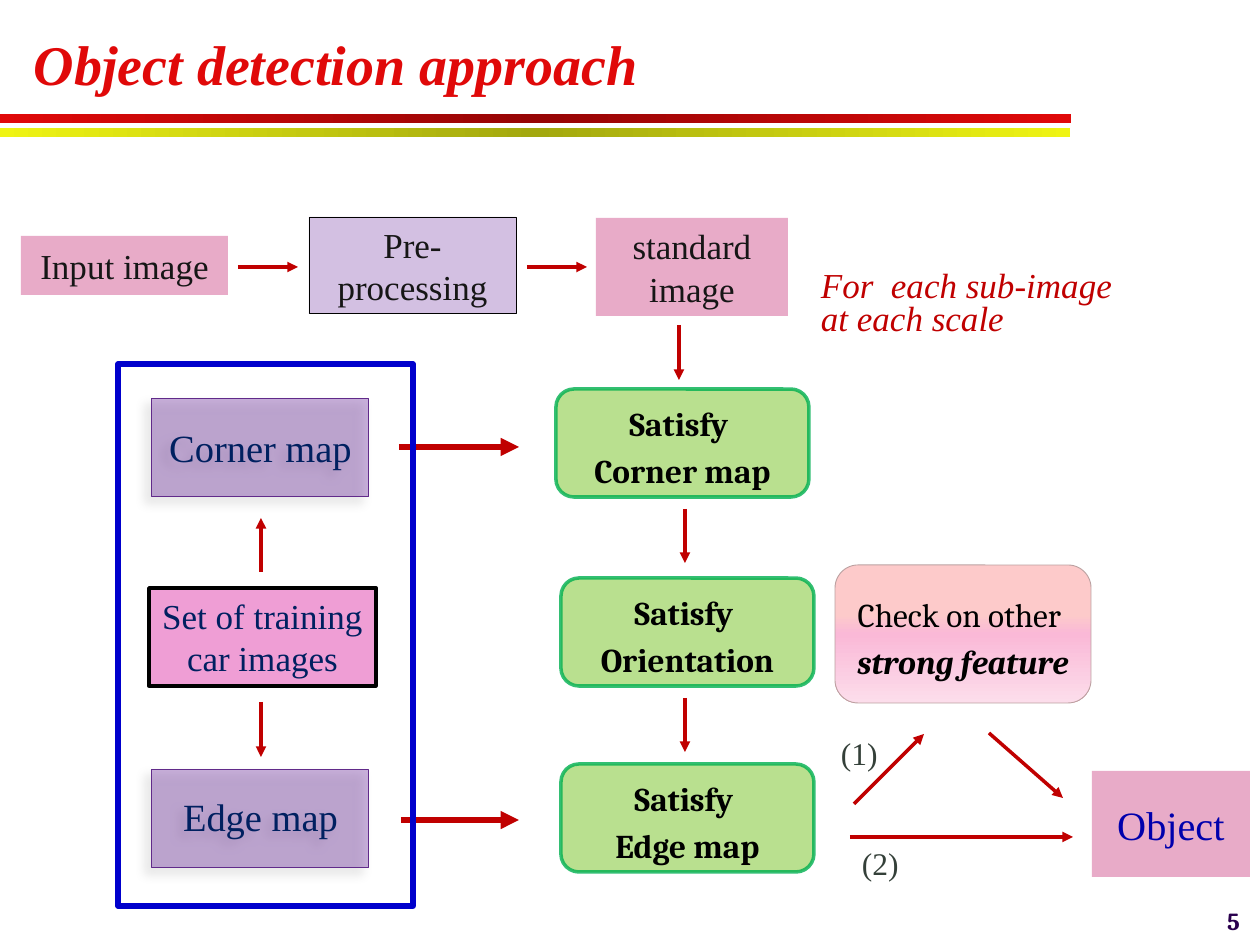
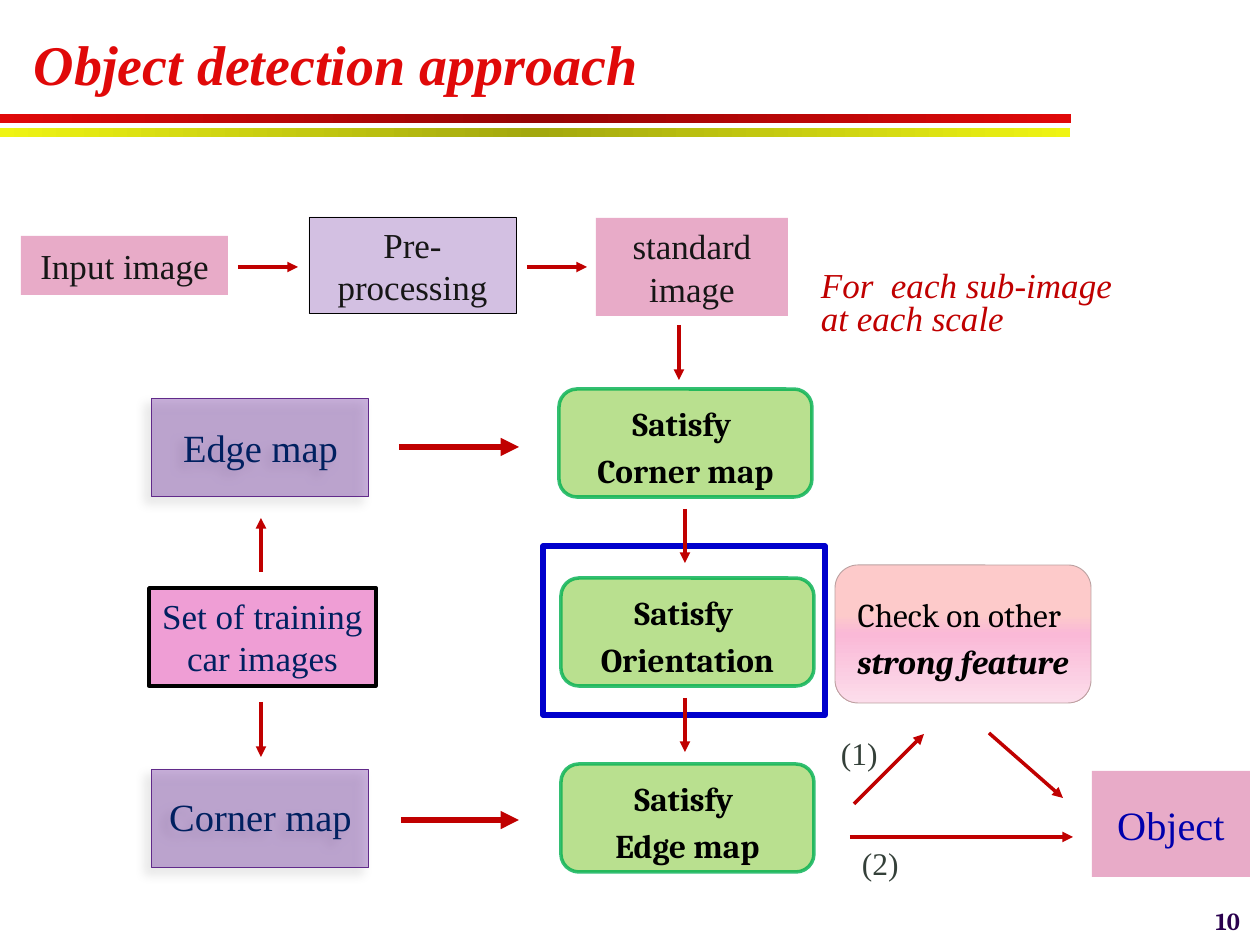
from lxml.etree import SubElement
from pptx import Presentation
from pptx.dml.color import RGBColor
from pptx.enum.shapes import MSO_CONNECTOR, MSO_SHAPE
from pptx.enum.text import MSO_ANCHOR, PP_ALIGN
from pptx.oxml.ns import qn
from pptx.util import Pt

PX = 914400 / 126
TIMES, CAMBRIA = "Times New Roman", "Cambria"
RED, NAVY, INK, BLACK = "C00000", "002060", "161616", "000000"
PINK = ("D35B95", 51)
LEAF = ("92D050", 64)
RECT, ROUND = MSO_SHAPE.RECTANGLE, MSO_SHAPE.ROUNDED_RECTANGLE
LEFT, MID, RIGHT = PP_ALIGN.LEFT, PP_ALIGN.CENTER, PP_ALIGN.RIGHT
hue = RGBColor.from_string


def write(shape, lines, size, ink, font=TIMES, align=MID, lead=None,
          anchor=MSO_ANCHOR.MIDDLE, pads=(13, 6, 13, 6)):
    """Each line is a text and its style letters: b for bold, i for italic."""
    frame = shape.text_frame
    frame.word_wrap = True
    frame.vertical_anchor = anchor
    (frame.margin_left, frame.margin_top,
     frame.margin_right, frame.margin_bottom) = [int(p * PX) for p in pads]
    for n, (text, style) in enumerate(lines):
        para = frame.add_paragraph() if n else frame.paragraphs[0]
        para.alignment = align
        if lead:
            para.line_spacing = Pt(lead)
        run = para.add_run()
        run.text = text
        run.font.name, run.font.size = font, Pt(size)
        run.font.bold, run.font.italic = "b" in style, "i" in style
        run.font.color.rgb = hue(ink)


def box(slide, kind, area, fill=None, edge=None):
    """Fill is (colour, alpha) or stops; edge is (colour, width, alpha)."""
    shape = slide.shapes.add_shape(kind, *[int(v * PX) for v in area])
    shape.shadow.inherit = False
    props = shape._element.spPr
    if fill is None:
        shape.fill.background()
    elif isinstance(fill, list):
        shape.fill.gradient()
        shape.fill.gradient_angle = 270 if kind == ROUND else 0
        stops = props.find(".//" + qn("a:gsLst"))
        for old in list(stops):
            stops.remove(old)
        for pos, tone, alpha in fill:
            stop = SubElement(stops, qn("a:gs"), pos=str(pos * 1000))
            tint = SubElement(stop, qn("a:srgbClr"), val=tone)
            SubElement(tint, qn("a:alpha"), val=str(alpha * 1000))
    else:
        shape.fill.solid()
        shape.fill.fore_color.rgb = hue(fill[0])
        tint = props.find(qn("a:solidFill"))[0]
        SubElement(tint, qn("a:alpha"), val=str(fill[1] * 1000))
    if edge is None:
        shape.line.fill.background()
    else:
        shape.line.color.rgb = hue(edge[0])
        shape.line.width = Pt(edge[1])
        tint = props.find(qn("a:ln")).find(".//" + qn("a:srgbClr"))
        SubElement(tint, qn("a:alpha"), val=str(edge[2] * 1000))
    return shape


prs = Presentation()
prs.slide_width, prs.slide_height = int(1260 * PX), int(945 * PX)
layout = prs.slide_layouts[5]

# Number, upper map, lower map, left of first check, blue frame
pages = [
    ("5", "Corner map", "Edge map", 556, (118, 364, 295, 542)),
    ("10", "Edge map", "Corner map", 559, (543, 546, 282, 169)),
]
slides = [prs.slides.add_slide(layout) for page in pages]

# Two bands under the title, shared through the layout
for top, wide, rim, core in [(114, 1071, "E00909", "960505"),
                             (128, 1070, "EFF414", "A3A80E")]:
    band = box(slides[0], RECT, (0, top, wide, 9),
               [(0, rim, 100), (50, core, 100), (100, rim, 100)])
    layout.shapes.element.append(band._element)

# Arrows: start x, y, end x, y, width
training = [
    (401, 820, 519, 820, 3.5), (399, 447, 519, 447, 3.5),
    (261, 702, 261, 757, 2), (261, 572, 261, 518, 2),
]
flow = [
    (238, 267, 298, 267, 2), (527, 267, 587, 267, 2),
    (679, 325, 679, 380, 2), (685, 509, 685, 563, 2),
    (685, 698, 685, 752, 2), (850, 837, 1073, 837, 2),
    (854, 804, 924, 734, 2), (989, 733, 1063, 798, 2),
]

for slide, (num, upper, lower, left, frame) in zip(slides, pages):
    # Title
    title = slide.shapes.title
    title.left, title.top = int(21 * PX), int(1 * PX)
    title.width, title.height = int(1177 * PX), int(125 * PX)
    write(title, [("Object detection approach", "bi")], 32, "E00909", align=LEFT)

    # Training set and its two maps
    cars = box(slide, RECT, (149, 588, 227, 98), ("D60093", 38), (BLACK, 2, 100))
    write(cars, [("Set of training car images", "")], 20, NAVY)
    for name, top, lead in [(upper, 399, 25), (lower, 770, 23)]:
        card = box(slide, RECT, (152, top, 217, 98), ("7030A0", 38),
                   ("612A8A", 0.5, 100))
        write(card, [(name, "")], 22, NAVY, lead=lead)
        glow = SubElement(card._element.spPr.find(qn("a:effectLst")),
                          qn("a:outerShdw"), blurRad=str(Pt(6)), dist=str(Pt(5)),
                          dir=str(142 * 60000), algn="ctr", rotWithShape="0")
        tint = SubElement(glow, qn("a:srgbClr"), val=BLACK)
        SubElement(tint, qn("a:alpha"), val="22000")

    # Arrows, with the blue frame between the two groups
    for group in (training, flow):
        for x1, y1, x2, y2, wide in group:
            ends = [int(v * PX) for v in (x1, y1, x2, y2)]
            arrow = slide.shapes.add_connector(MSO_CONNECTOR.STRAIGHT, *ends)
            arrow.line.color.rgb = hue(RED)
            arrow.line.width = Pt(wide)
            props = arrow._element.spPr
            SubElement(props.find(qn("a:ln")), qn("a:tailEnd"), type="triangle")
            SubElement(props, qn("a:effectLst"))
        if group is training:
            box(slide, RECT, frame, edge=("0000CC", 3, 100))

    # Image steps and result
    for text, area, fill, edge, size, ink in [
        ("Input image", (21, 236, 207, 59), PINK, None, 20, INK),
        ("Pre-processing", (309, 217, 207, 97), ("7030A0", 30),
         (BLACK, 0.5, 100), 20, INK),
        ("standard image", (596, 218, 192, 98), PINK, None, 20, INK),
        ("Object", (1092, 771, 158, 106), PINK, None, 23, "0000AD"),
    ]:
        write(box(slide, RECT, area, fill, edge), [(text, "")], size, ink)

    # Checks
    for text, x, top in [("Corner map", left, 389), ("Orientation", 561, 578),
                         ("Edge map", 561, 764)]:
        check = box(slide, ROUND, (x, top, 253, 108), LEAF, ("00B050", 2, 80))
        write(check, [("Satisfy ", "b"), (text, "b")], 19, BLACK, CAMBRIA, lead=27)
    other = box(slide, ROUND, (835, 565, 256, 138),
                [(36, "FDCACA", 100), (50, "FAB9D7", 100), (100, "FCDDEB", 100)],
                ("BBA0A0", 0.5, 100))
    write(other, [("Check on other ", ""), ("strong feature", "bi")],
          19, BLACK, CAMBRIA, lead=27)

    # Notes beside the flow
    for text, area, size, ink, style, lead, pads in [
        ("For  each sub-image at each scale", (808, 266, 325, 78), 20, RED, "i",
         19, (13, 6, 13, 6)),
        ("(1)", (837, 731, 217, 79), 18, "344039", "", None, (4, 3, 4, 3)),
        ("(2)", (858, 841, 217, 79), 18, "344039", "", None, (4, 3, 4, 3)),
    ]:
        note = slide.shapes.add_textbox(*[int(v * PX) for v in area])
        write(note, [(text, style)], size, ink, align=LEFT, lead=lead,
              anchor=MSO_ANCHOR.TOP, pads=pads)

    # Page number
    foot = slide.shapes.add_textbox(*[int(v * PX) for v in (1201, 905, 52, 32)])
    write(foot, [(num, "b")], 14, "2A004E", CAMBRIA, RIGHT, pads=(0, 6, 13, 6))

prs.save("out.pptx")
